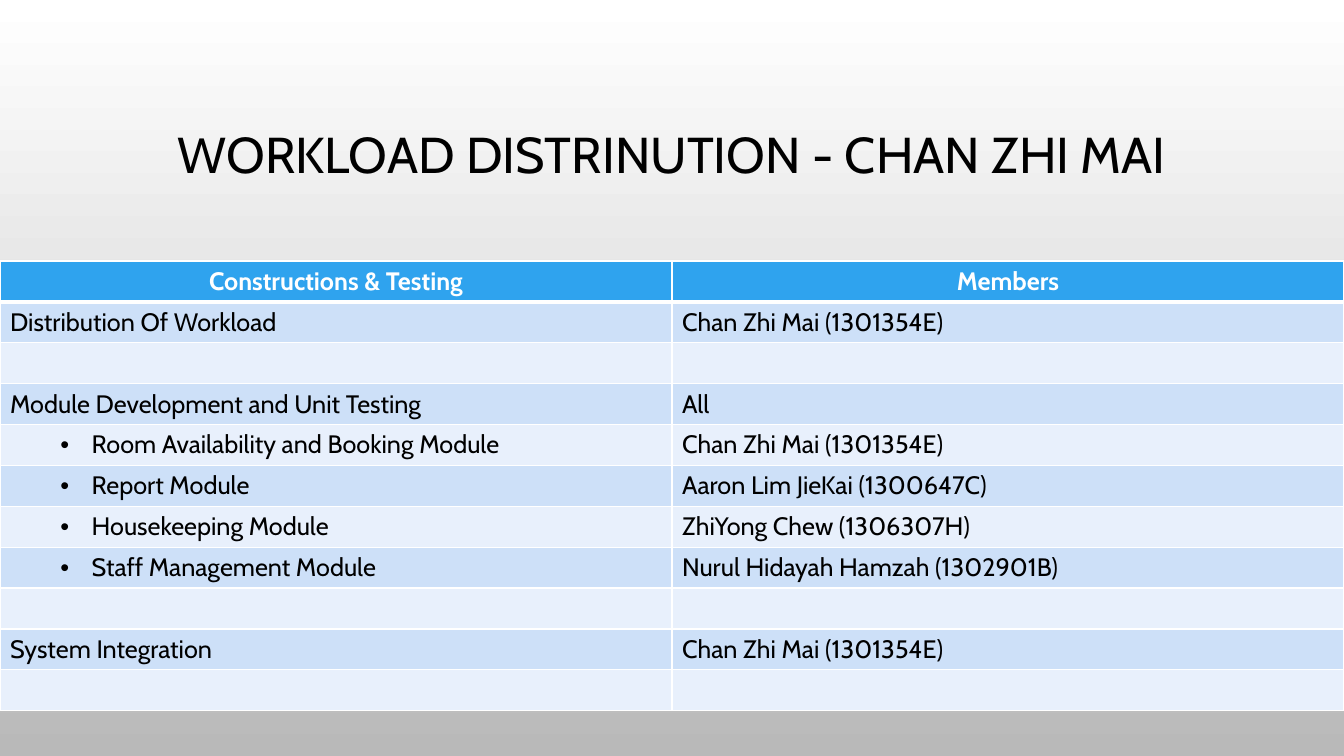
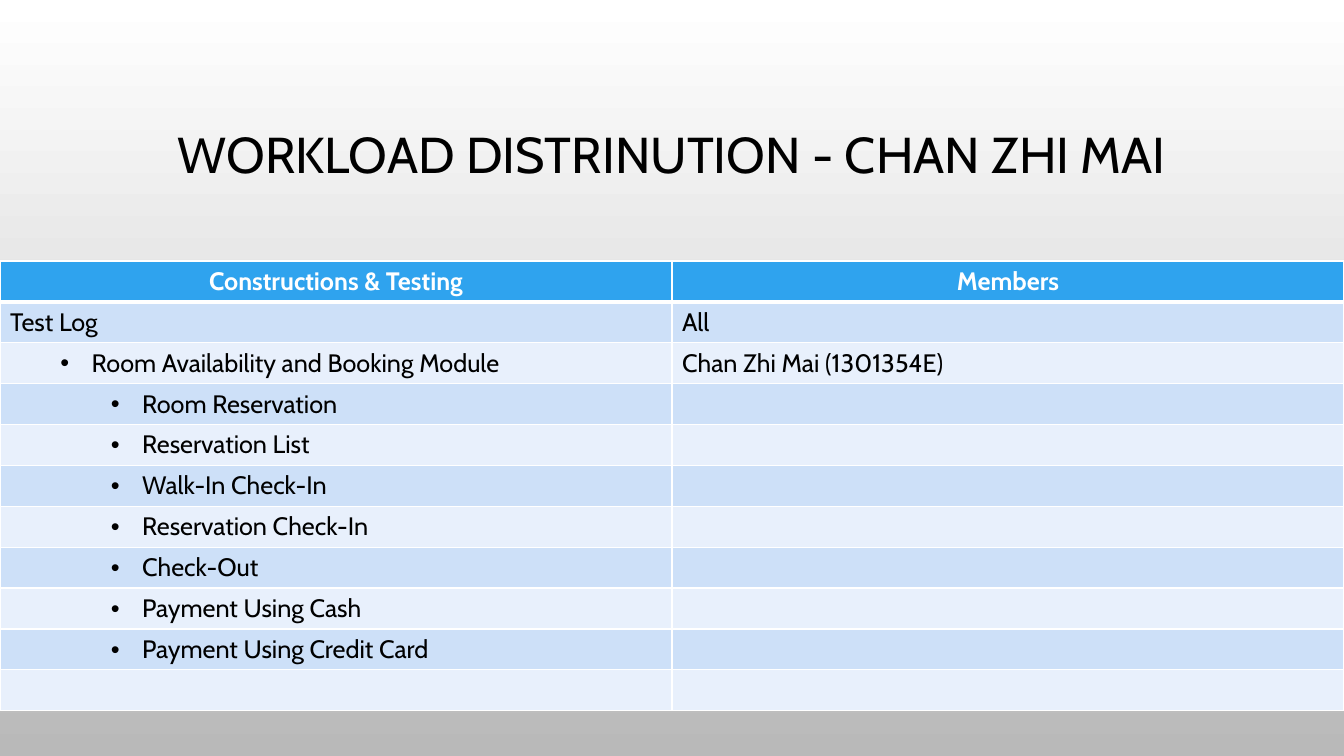
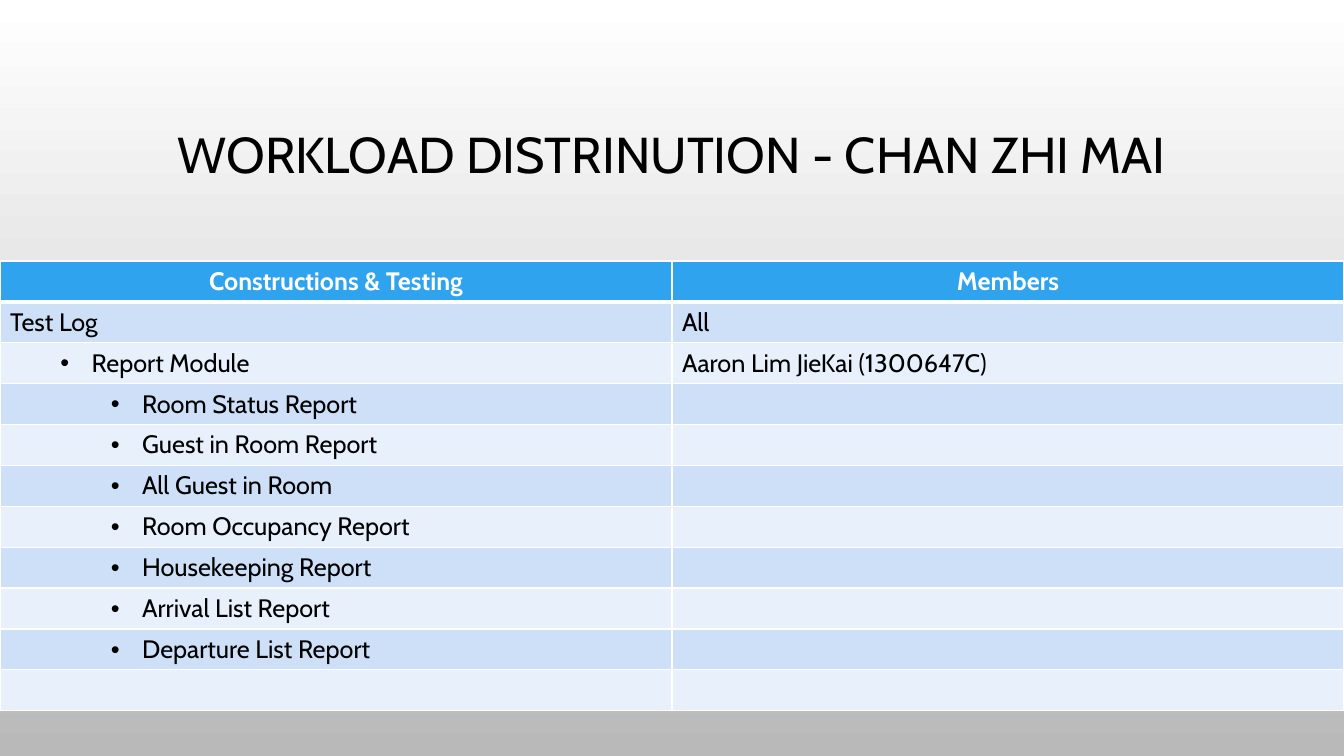
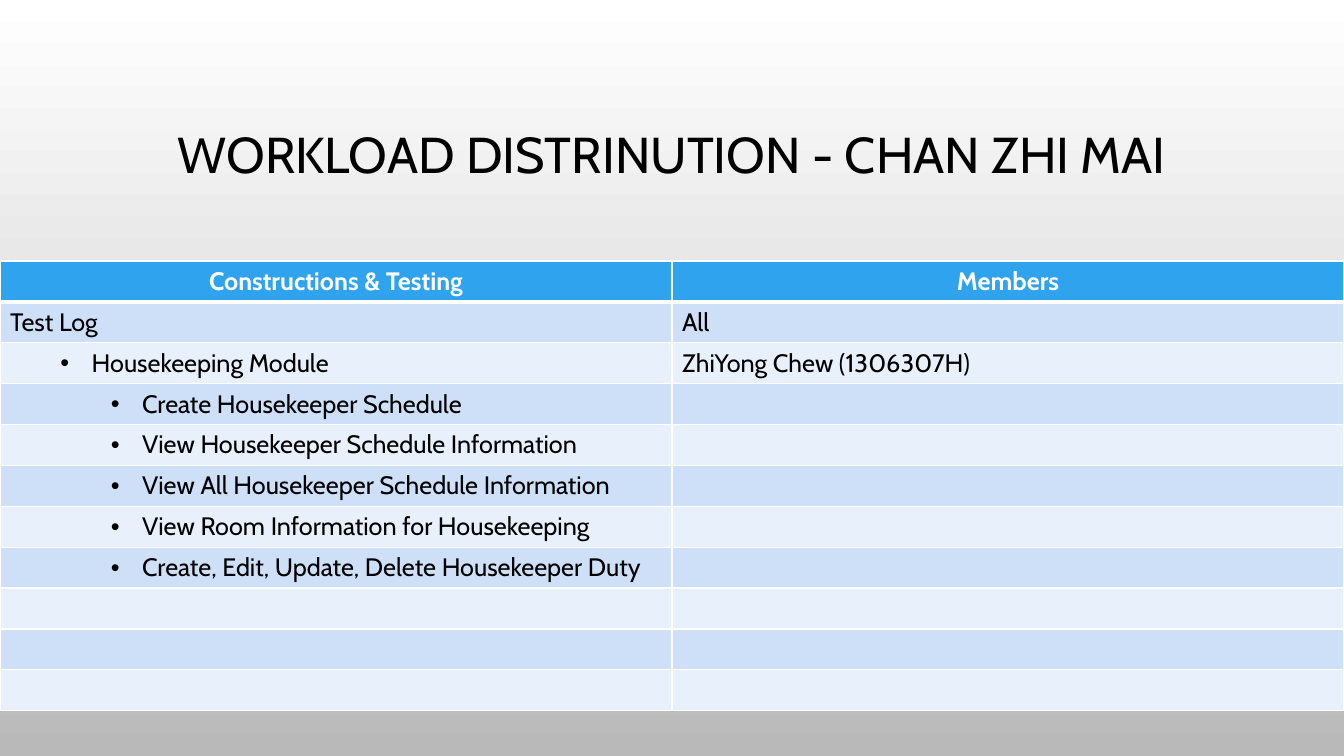
from lxml import etree
from pptx import Presentation
from pptx.dml.color import RGBColor
from pptx.enum.text import MSO_ANCHOR, PP_ALIGN
from pptx.oxml.ns import qn
from pptx.util import Inches, Pt

CENTER = PP_ALIGN.CENTER
LEFT = PP_ALIGN.LEFT
MIDDLE = MSO_ANCHOR.MIDDLE

FONT = "Cabin"
BLACK, WHITE, GREY = "000000", "FFFFFF", "B9B9B9"
BLUE, PALE, LIGHT = "2FA3EE", "CDE0F8", "E8F0FC"
WIDTH, HEIGHT = 13.33, 7.5
ROWS = 11
TITLE = "WORKLOAD DISTRINUTION - CHAN ZHI MAI"
HEADER = (0, "Constructions & Testing", "Members")
CHAN = "Chan Zhi Mai (1301354E)"
AARON = "Aaron Lim JieKai (1300647C)"
CHEW = "ZhiYong Chew (1306307H)"
NURUL = "Nurul Hidayah Hamzah (1302901B)"
BLANK = (0, "", "")


def color(value):
    return RGBColor.from_string(value)


class Deck:
    def __init__(self):
        self.prs = Presentation()
        self.prs.slide_width = Inches(WIDTH)
        self.prs.slide_height = Inches(HEIGHT)
        self.layout = self.prs.slide_layouts[5]
        self.slide = None
        fill = self.prs.slide_master.background.fill
        fill.gradient()
        fill.gradient_angle = 270
        for stop, tone in zip(fill.gradient_stops, (WHITE, GREY)):
            stop.color.rgb = color(tone)

    def page(self, title, rows):
        self.slide = self.prs.slides.add_slide(self.layout)
        self.title(title)
        self.table([HEADER] + rows + [BLANK] * (ROWS - 1 - len(rows)))

    def style(self, para, size, tone, align, bold=False):
        para.alignment = align
        for run in para.runs:
            font = run.font
            font.name = FONT
            font.size = Pt(size)
            font.bold = bold
            font.color.rgb = color(tone)

    def title(self, text):
        shape = self.slide.shapes.title
        shape.left, shape.top = Inches(1), Inches(0.68)
        shape.width, shape.height = Inches(11.33), Inches(1.75)
        frame = shape.text_frame
        frame.text = text
        frame.word_wrap = True
        frame.vertical_anchor = MIDDLE
        para = frame.paragraphs[0]
        para.line_spacing = 0.9
        self.style(para, 36, BLACK, CENTER)

    def table(self, rows):
        grid = self.slide.shapes.add_table(
            len(rows), 2, 0, Inches(2.59), Inches(WIDTH), Inches(4.46)).table
        for index, (level, task, member) in enumerate(rows):
            self.cell(grid.cell(index, 0), index, task, level)
            self.cell(grid.cell(index, 1), index, member)

    def cell(self, cell, index, text, level=0):
        head = index == 0
        self.border(cell, top=3 if index == 1 else 1, bottom=3 if head else 1)
        cell.fill.solid()
        cell.fill.fore_color.rgb = color(
            BLUE if head else PALE if index % 2 else LIGHT)
        cell.text_frame.text = text
        para = cell.text_frame.paragraphs[0]
        self.style(para, 18, WHITE if head else BLACK,
                   CENTER if head else LEFT, head)
        if level:
            self.bullet(para, level)

    def border(self, cell, top, bottom):
        props = cell._tc.get_or_add_tcPr()
        for tag, width in (("L", 1), ("R", 1), ("T", top), ("B", bottom)):
            line = etree.SubElement(props, qn("a:ln" + tag), w=str(Pt(width)))
            fill = etree.SubElement(line, qn("a:solidFill"))
            etree.SubElement(fill, qn("a:srgbClr"), val=WHITE)

    def bullet(self, para, level):
        para.level = level
        props = para._p.get_or_add_pPr()
        props.set("marL", str(Inches(0.31 + 0.5 * level)))
        props.set("indent", str(Inches(-0.31)))
        etree.SubElement(props, qn("a:buFont"), typeface="Arial")
        etree.SubElement(props, qn("a:buChar"), char="•")


def log(module, member, tests):
    return ([(0, "Test Log", "All"), (1, module, member)]
            + [(2, test, "") for test in tests])


deck = Deck()
deck.page(TITLE, [
    (0, "Distribution Of Workload", CHAN),
    BLANK,
    (0, "Module Development and Unit Testing", "All"),
    (1, "Room Availability and Booking Module", CHAN),
    (1, "Report Module", AARON),
    (1, "Housekeeping Module", CHEW),
    (1, "Staff Management Module", NURUL),
    BLANK,
    (0, "System Integration", CHAN),
])
deck.page(TITLE, log("Room Availability and Booking Module", CHAN, [
    "Room Reservation",
    "Reservation List",
    "Walk-In Check-In",
    "Reservation Check-In",
    "Check-Out",
    "Payment Using Cash",
    "Payment Using Credit Card",
]))
deck.page(TITLE, log("Report Module", AARON, [
    "Room Status Report",
    "Guest in Room Report",
    "All Guest in Room",
    "Room Occupancy Report",
    "Housekeeping Report",
    "Arrival List Report",
    "Departure List Report",
]))
deck.page(TITLE, log("Housekeeping Module", CHEW, [
    "Create Housekeeper Schedule",
    "View Housekeeper Schedule Information",
    "View All Housekeeper Schedule Information",
    "View Room Information for Housekeeping",
    "Create, Edit, Update, Delete Housekeeper Duty",
]))
deck.prs.save("out.pptx")
